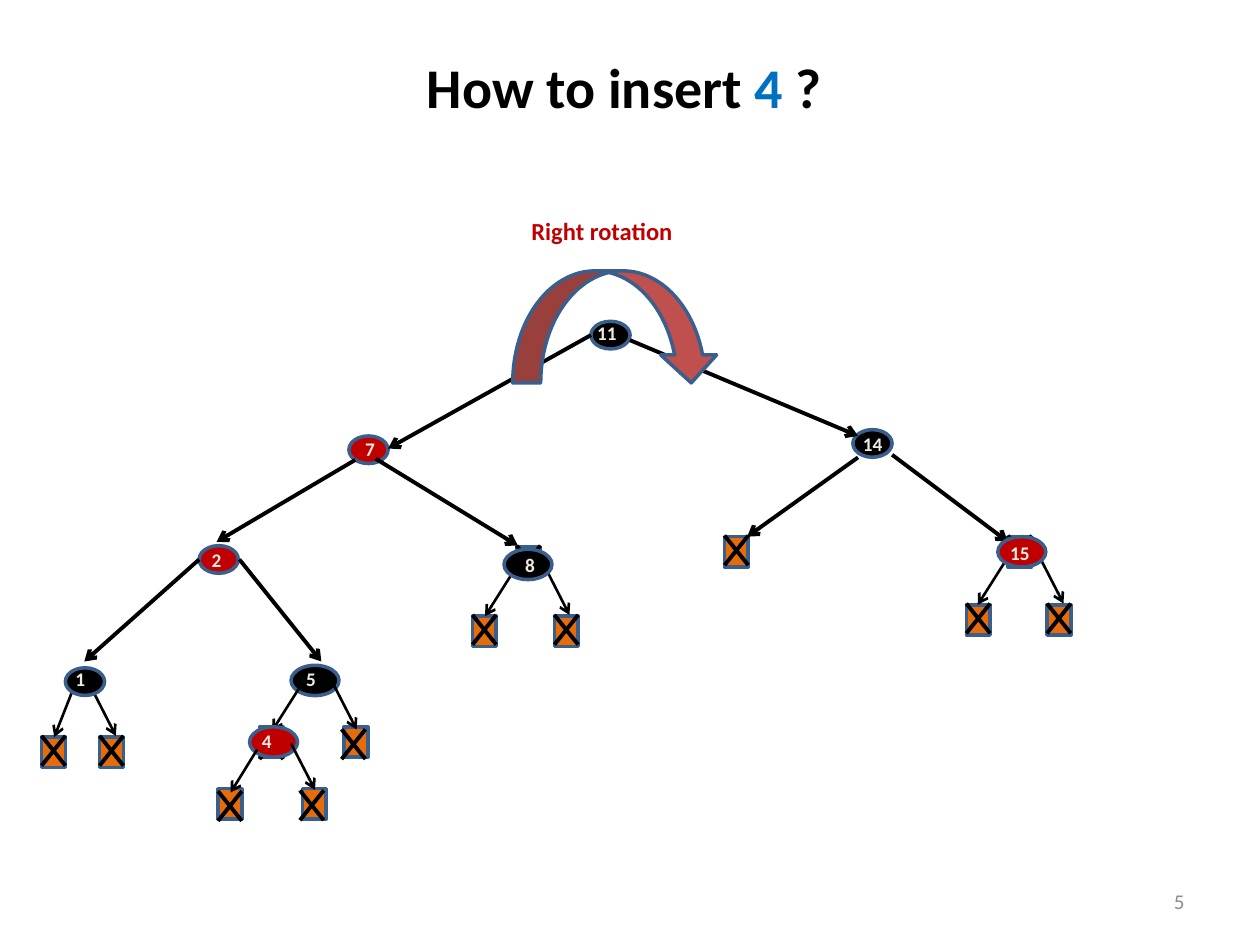
"""Build a slide that shows a red-black tree just before a right rotation."""
from dataclasses import dataclass

from lxml import etree
from pptx import Presentation
from pptx.dml.color import RGBColor
from pptx.enum.shapes import MSO_CONNECTOR, MSO_SHAPE
from pptx.enum.text import MSO_ANCHOR, PP_ALIGN
from pptx.oxml.ns import qn
from pptx.util import Pt

LINE = MSO_CONNECTOR.STRAIGHT
OVAL, RECT, CURVE = MSO_SHAPE.OVAL, MSO_SHAPE.RECTANGLE, MSO_SHAPE.CURVED_DOWN_ARROW
TOP, MIDDLE = MSO_ANCHOR.TOP, MSO_ANCHOR.MIDDLE
LEFT, CENTER, RIGHT = PP_ALIGN.LEFT, PP_ALIGN.CENTER, PP_ALIGN.RIGHT

BLACK = RGBColor(0x00, 0x00, 0x00)
RED = RGBColor(0xC0, 0x00, 0x00)
BLUE = RGBColor(0x00, 0x70, 0xC0)
ORANGE = RGBColor(0xE4, 0x6C, 0x0A)
BORDER = RGBColor(0x3A, 0x5F, 0x8C)
BRICK = RGBColor(0xC0, 0x50, 0x4D)
CREAM = RGBColor(0xEE, 0xEC, 0xE1)
GRAY = RGBColor(0x8C, 0x8C, 0x8C)

FONT = "Calibri"
LEAF_W, LEAF_H, CROSS_H = 13.6, 17.3, 17
SMALL, LARGE = (22.4, 15.8), (27.4, 17.3)
THICK, THIN = 2.25, 1.5
LABEL_H, WIDE = 20.6, 31


@dataclass(frozen=True)
class Leaf:
    """An empty leaf, with the shift of its cross."""
    x: float
    y: float
    dx: float = 0
    dy: float = -0.7


@dataclass(frozen=True)
class Node:
    """A filled tree node."""
    x: float
    y: float
    fill: RGBColor
    size: tuple[float, float] = SMALL


@dataclass(frozen=True)
class Link:
    """An arrow from a parent to a child."""
    x1: float
    y1: float
    x2: float
    y2: float
    width: float = THICK


@dataclass(frozen=True)
class Label:
    """The key of a node."""
    text: str
    x: float
    y: float
    w: float


SCENE = (
    Leaf(576, 306.7), Leaf(23.8, 421.2), Leaf(56.9, 421.2),
    Leaf(552.2, 345.6), Leaf(598.3, 345.6), Leaf(295.2, 312.5),
    Leaf(270, 352.1), Leaf(316.8, 352.1), Leaf(414, 306.7),
    Leaf(148.3, 415.4, 0, 1.4), Leaf(196.6, 415.4, -1.4, 1.4),
    Leaf(124.6, 450.7, 0, 1.4), Leaf(172.8, 450.7, -1.4, 1),
    Node(337.7, 183.6, BLACK), Node(487.4, 245.5, BLACK),
    Node(113.8, 311.8, RED), Node(199.4, 249.1, RED),
    Node(166.3, 380.2, BLACK, LARGE),
    Link(337.7, 191.5, 221.8, 256.3), Link(203, 262.8, 123.8, 309.6),
    Link(113.8, 319.7, 48.2, 378), Link(490.3, 261.4, 427, 306.7),
    Link(509.8, 259.9, 576, 309.6), Link(214.6, 262.1, 295.9, 311.8),
    Link(136.8, 319.7, 183.6, 378), Link(360, 194.4, 490.3, 249.1),
    Link(41.8, 393.8, 31, 421.2, THIN), Link(52.6, 393.8, 66.2, 420.5, THIN),
    Link(573.8, 321.8, 558.7, 345.6, THIN), Link(594, 318.2, 607.7, 344.9, THIN),
    Link(292.3, 328.3, 277.2, 352.1, THIN), Link(311.8, 324.7, 325.4, 351.4, THIN),
    Link(170.6, 393.8, 155.5, 417.6, THIN), Link(190.1, 390.2, 203.8, 416.9, THIN),
    Node(37.4, 381.6, BLACK), Node(570.2, 306.7, RED, LARGE),
    Node(288, 313.9, BLACK, LARGE), Node(142.6, 415.4, RED, LARGE),
    Link(146.9, 428.4, 131.8, 452.9, THIN), Link(166.3, 424.8, 180, 451.4, THIN),
    Label("11", 334.1, 180, 26), Label("14", 486, 243.4, 26),
    Label("1", 36, 378, 20), Label("7", 201.6, 246.2, 20),
    Label("2", 113.8, 309.6, 20), Label("15", 570.2, 306, WIDE),
    Label("8", 293, 312.5, WIDE), Label("5", 167.8, 378, WIDE),
    Label("4", 142.6, 413.3, WIDE),
)


def add_form(shapes, kind, x: float, y: float, w: float, h: float, fill: RGBColor) -> None:
    """Draw a filled preset shape with the common border."""
    form = shapes.add_shape(kind, Pt(x), Pt(y), Pt(w), Pt(h))
    form.shadow.inherit = False
    form.fill.solid()
    form.fill.fore_color.rgb = fill
    form.line.color.rgb = BORDER
    form.line.width = Pt(2)


def add_line(shapes, x1: float, y1: float, x2: float, y2: float,
             width: float, head: bool = False) -> None:
    """Draw a black line, with an open arrowhead if asked."""
    line = shapes.add_connector(LINE, Pt(x1), Pt(y1), Pt(x2), Pt(y2))
    line.line.color.rgb = BLACK
    line.line.width = Pt(width)
    if head:
        etree.SubElement(line.line._get_or_add_ln(), qn("a:tailEnd"), type="arrow")
    etree.SubElement(line._element.spPr, qn("a:effectLst"))


def add_text(shapes, x: float, y: float, w: float, h: float, runs: tuple, size: float,
             bold: bool = True, align=LEFT, anchor=TOP, wrap: bool = True):
    """Draw a line of text from pairs of wording and colour."""
    frame = shapes.add_textbox(Pt(x), Pt(y), Pt(w), Pt(h)).text_frame
    frame.word_wrap = wrap
    frame.vertical_anchor = anchor
    para = frame.paragraphs[0]
    para.alignment = align
    para.font.name, para.font.size, para.font.bold = FONT, Pt(size), bold
    for text, color in runs:
        run = para.add_run()
        run.text = text
        run.font.color.rgb = color
    return frame


def add_item(shapes, item: Leaf | Node | Link | Label) -> None:
    """Draw one part of the tree."""
    match item:
        case Leaf(x, y, dx, dy):
            add_form(shapes, RECT, x, y, LEAF_W, LEAF_H, ORANGE)
            left, right, top, base = x + dx, x + dx + LEAF_W, y + dy, y + dy + CROSS_H
            add_line(shapes, right, top, left, base, THICK)
            add_line(shapes, left, top, right, base, THICK)
        case Node(x, y, fill, (w, h)):
            add_form(shapes, OVAL, x, y, w, h, fill)
        case Link(x1, y1, x2, y2, width):
            add_line(shapes, x1, y1, x2, y2, width, head=True)
        case Label(text, x, y, w):
            add_text(shapes, x, y, w, LABEL_H, ((text, CREAM),), 11, wrap=w == WIDE)


def main() -> None:
    """Build and save the slide."""
    deck = Presentation()
    deck.slide_width, deck.slide_height = Pt(720), Pt(540)
    shapes = deck.slides.add_slide(deck.slide_layouts[6]).shapes
    title = add_text(shapes, 5.8, 21.6, 702, 90,
                     (("How to insert ", BLACK), ("4 ", BLUE), ("?", BLACK)),
                     32, align=CENTER, anchor=MIDDLE)
    title.margin_bottom = Pt(38)
    add_text(shapes, 516.2, 500.4, 167.8, 28.8, (("5", GRAY),), 12,
             bold=False, align=RIGHT, anchor=MIDDLE)
    for item in SCENE:
        add_item(shapes, item)
    add_form(shapes, CURVE, 293, 154.8, 118, 64, BRICK)
    add_text(shapes, 296.6, 120.2, 99.4, 24.5, (("Right rotation", RED),), 14, wrap=False)
    deck.save("out.pptx")


if __name__ == "__main__":
    main()
